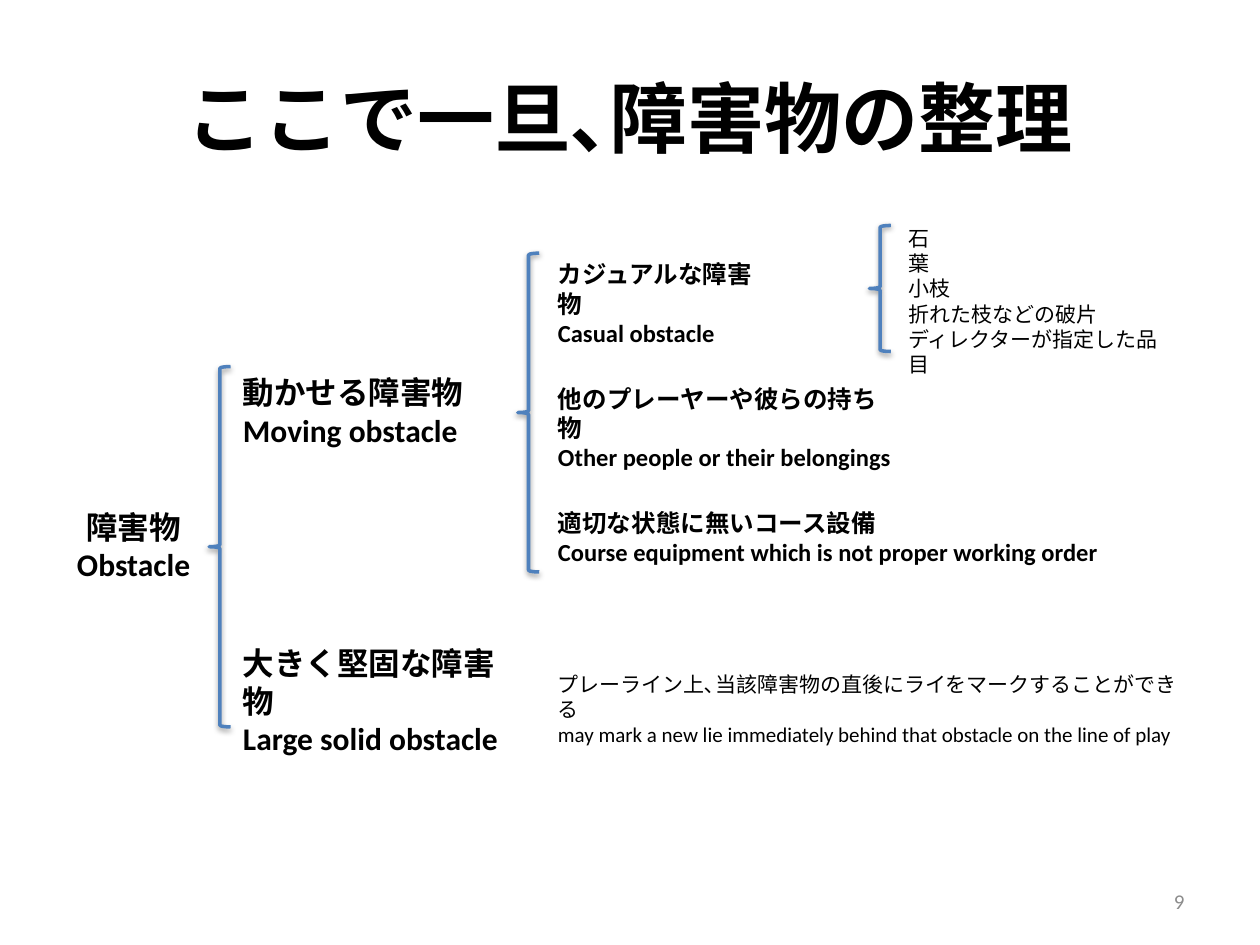
from dataclasses import dataclass

from pptx import Presentation
from pptx.dml.color import RGBColor as Rgb
from pptx.enum.shapes import MSO_SHAPE as Shape
from pptx.enum.text import MSO_ANCHOR as Anchor, MSO_AUTO_SIZE as Fit, PP_ALIGN as Align
from pptx.util import Inches, Pt


@dataclass(frozen=True)
class Theme:
    font: str = "Calibri"
    ink: str = "000000"
    grey: str = "8C8C8C"
    brace: str = "4F81BD"
    title: int = 44
    head: int = 18
    item: int = 14
    note: int = 12


THEME = Theme()
COLS = (0.5, 1.83, 4.33, 7.11)
ROWS = (2.91, 5.06)
TOP, STEP = 2.01, 0.985
BRACE = 0.17

ITEMS = (
    (1.84, "カジュアルな障害物\nCasual obstacle"),
    (2.91, "他のプレーヤーや彼らの持ち物\nOther people or their belongings"),
    (4.54, "適切な状態に無いコース設備\nCourse equipment which is not proper working order"),
)
DEBRIS = "石\n葉\n小枝\n折れた枝などの破片\nディレクターが指定した品目"
RULE = (
    "プレーライン上､当該障害物の直後にライをマークすることができる\n"
    "may mark a new lie immediately behind that obstacle on the line of play"
)


def style(frame, size, bold=False, align=Align.LEFT, color=THEME.ink):
    for para in frame.paragraphs:
        para.alignment = align
        for run in para.runs:
            font = run.font
            font.name, font.size, font.bold = THEME.font, Pt(size), bold
            font.color.rgb = Rgb.from_string(color)


def add_title(slide, text):
    title = slide.shapes.title
    title.left, title.top, title.width, title.height = map(Inches, (0.5, 0.3, 9, 1.25))
    title.text_frame.text = text
    title.text_frame.vertical_anchor = Anchor.MIDDLE
    style(title.text_frame, THEME.title, True, Align.CENTER)


def add_label(shapes, box, text, size, bold=True, align=Align.LEFT):
    frame = shapes.add_textbox(*map(Inches, box)).text_frame
    frame.word_wrap = True
    frame.auto_size = Fit.SHAPE_TO_FIT_TEXT
    frame.text = text
    style(frame, size, bold, align)


def add_brace(shapes, left, top, height):
    """Draw a left brace with the theme's lightest shadow."""
    brace = shapes.add_shape(Shape.LEFT_BRACE, *map(Inches, (left, top, BRACE, height)))
    brace.fill.background()
    brace.line.color.rgb = Rgb.from_string(THEME.brace)
    brace.line.width = Pt(2)
    brace._element.xpath(".//a:effectRef")[0].set("idx", "1")


def add_items(slide):
    shapes = slide.shapes.add_group_shape().shapes
    for row, (width, text) in enumerate(ITEMS):
        add_label(shapes, (COLS[2], TOP + row * STEP, width, 0.57), text, THEME.item)
    add_brace(shapes, COLS[2] - 0.22, TOP, 2.53)


def add_number(slide, text):
    frame = slide.shapes.add_textbox(*map(Inches, (7.17, 6.95, 2.33, 0.4))).text_frame
    frame.word_wrap = True
    frame.vertical_anchor = Anchor.MIDDLE
    frame.text = text
    style(frame, THEME.note, align=Align.RIGHT, color=THEME.grey)


def main():
    deck = Presentation()
    deck.slide_width, deck.slide_height = Inches(10), Inches(7.5)
    slide = deck.slides.add_slide(deck.slide_layouts[5])
    shapes = slide.shapes

    add_title(slide, "ここで一旦､障害物の整理")
    add_label(shapes, (COLS[0], 3.98, 1.12, 0.71), "障害物\nObstacle",
              THEME.head, align=Align.CENTER)
    add_label(shapes, (COLS[1], ROWS[0], 1.97, 0.71),
              "動かせる障害物\nMoving obstacle", THEME.head)
    add_label(shapes, (COLS[1], ROWS[1], 2.31, 0.71),
              "大きく堅固な障害物\nLarge solid obstacle", THEME.head)
    add_label(shapes, (COLS[3], 1.74, 2.19, 1.11), DEBRIS, THEME.note, False)
    add_brace(shapes, COLS[3] - 0.21, 1.79, 1)
    add_items(slide)
    add_brace(shapes, COLS[1] - BRACE, ROWS[0], 2.86)
    add_label(shapes, (COLS[2], 5.28, 5.14, 0.5), RULE, THEME.note, False)
    add_number(slide, "9")
    deck.save("out.pptx")


if __name__ == "__main__":
    main()
